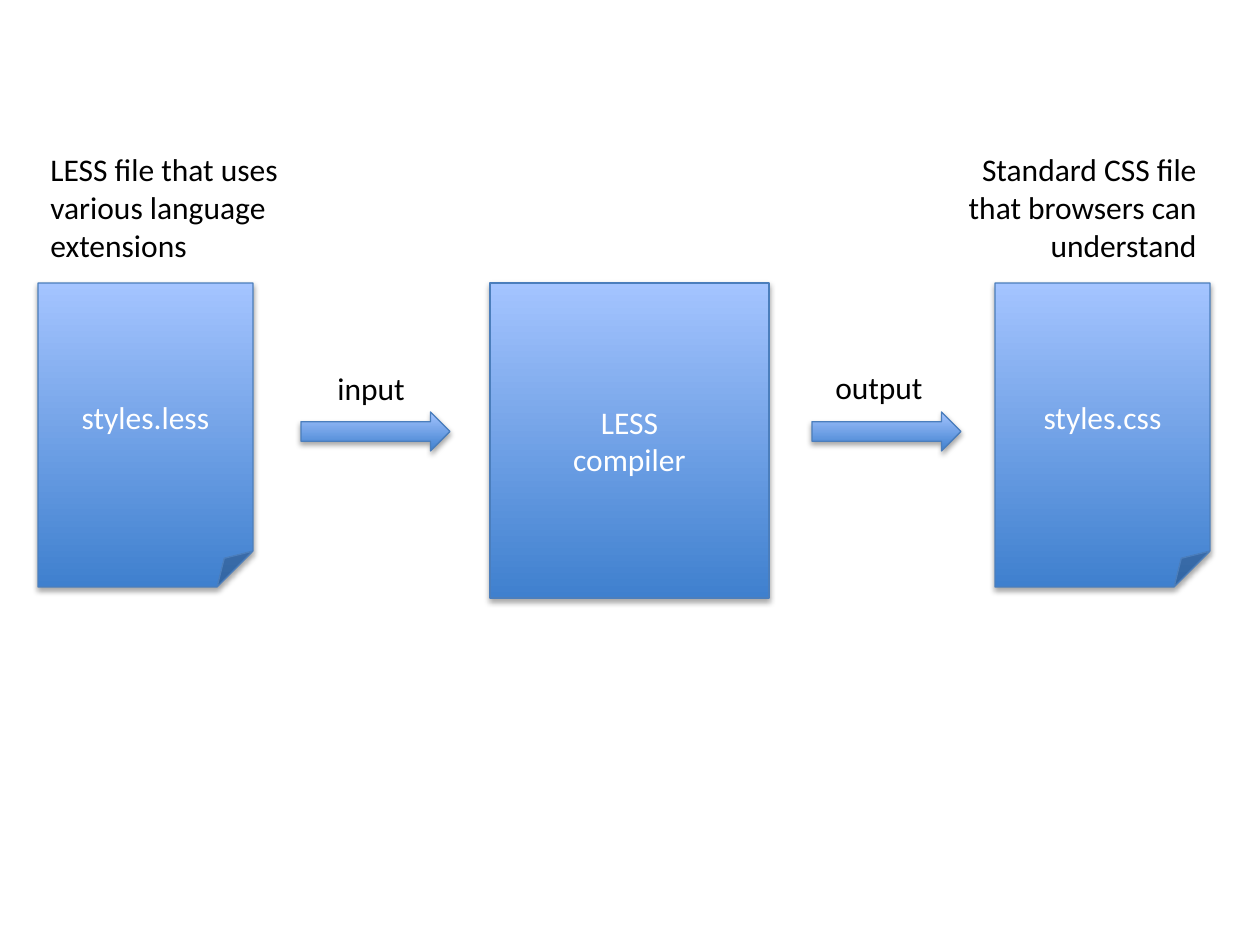
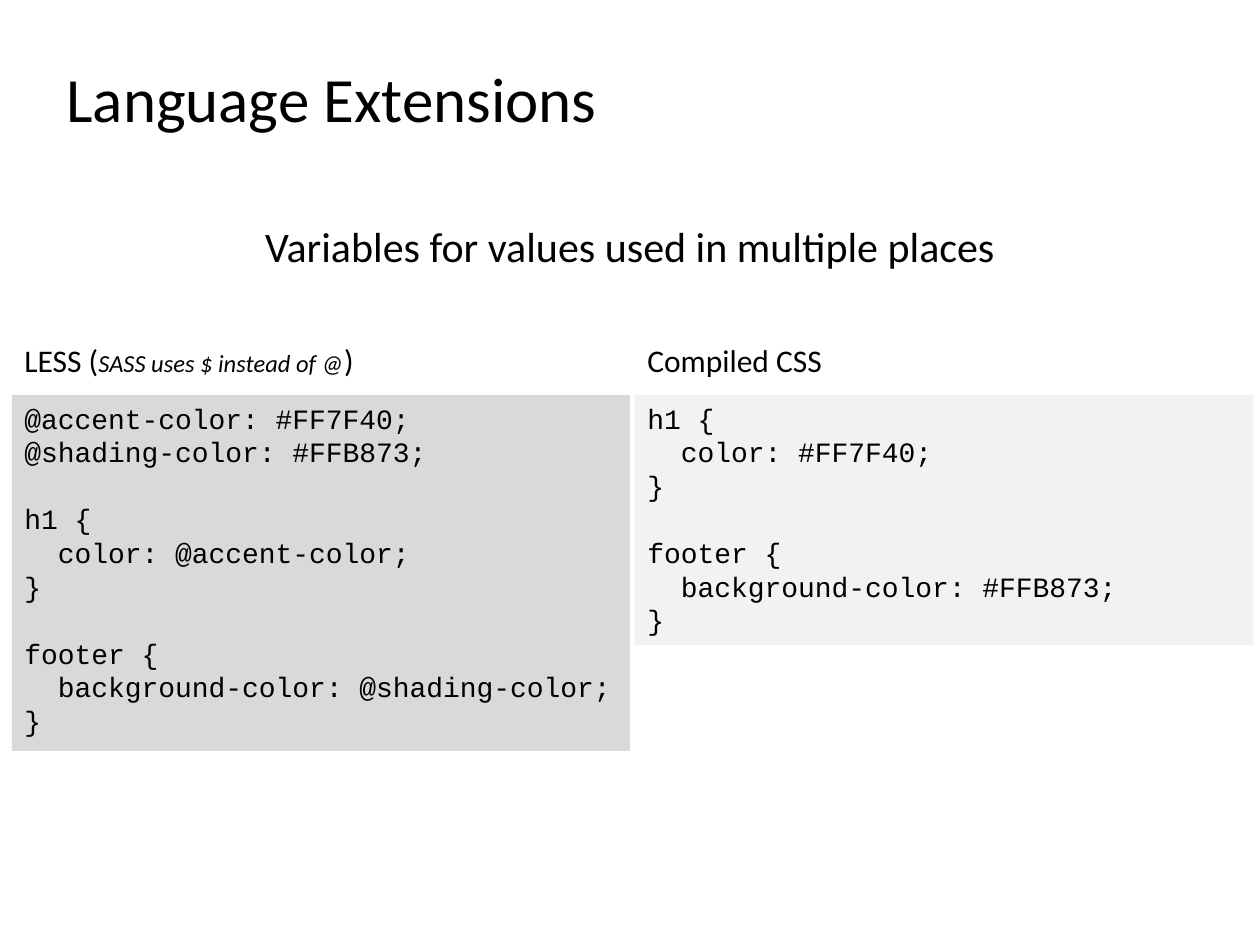
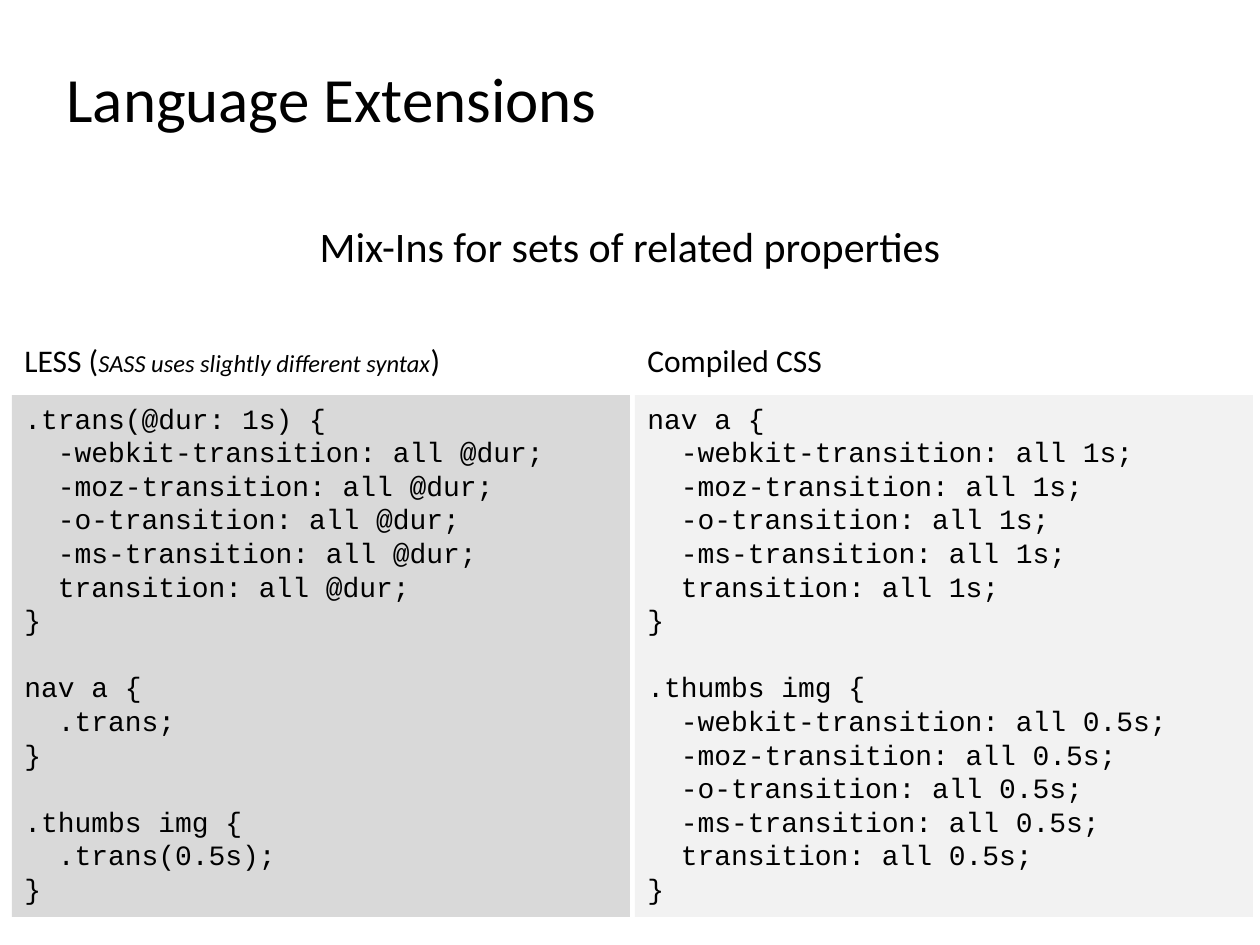
from lxml import etree
from pptx import Presentation
from pptx.dml.color import RGBColor
from pptx.enum.shapes import MSO_SHAPE
from pptx.enum.text import MSO_ANCHOR, PP_ALIGN
from pptx.oxml import parse_xml
from pptx.util import Emu, Pt

FOLDED, RECT, ARROW = MSO_SHAPE.FOLDED_CORNER, MSO_SHAPE.RECTANGLE, MSO_SHAPE.RIGHT_ARROW
LEFT, CENTER, RIGHT = PP_ALIGN.LEFT, PP_ALIGN.CENTER, PP_ALIGN.RIGHT
MIDDLE = MSO_ANCHOR.MIDDLE

BLACK = RGBColor(0x00, 0x00, 0x00)
WHITE = RGBColor(0xFF, 0xFF, 0xFF)
BLUE_DARK = RGBColor(0x3F, 0x80, 0xCE)
BLUE_LIGHT = RGBColor(0xA4, 0xC4, 0xFF)
BLUE_LINE = RGBColor(0x4B, 0x7E, 0xBC)
GREY_SOURCE = RGBColor(0xD9, 0xD9, 0xD9)
GREY_OUTPUT = RGBColor(0xF2, 0xF2, 0xF2)

BODY_FONT, CODE_FONT = "Calibri", "Courier New"
CODE_LINE = 19.2  # height of one code line in points
PX = 914400 // 126
SHADOW = (
    '<a:effectLst xmlns:a="http://schemas.openxmlformats.org/drawingml/2006/main">'
    '<a:outerShdw blurRad="40000" dist="23000" dir="5400000" rotWithShape="0">'
    '<a:srgbClr val="000000"><a:alpha val="35000"/></a:srgbClr>'
    '</a:outerShdw></a:effectLst>'
)

prs = Presentation()
prs.slide_width, prs.slide_height = Emu(1260 * PX), Emu(945 * PX)
blank = prs.slide_layouts[6]


def add_text(s, x, y, w, h, text, size=18, align=LEFT, wrap=False):
    """Add a text box; a list of texts alternates upright and small italic runs."""
    sp = s.shapes.add_textbox(x * PX, y * PX, w * PX, h * PX)
    sp.text_frame.word_wrap = wrap
    p = sp.text_frame.paragraphs[0]
    p.alignment = align
    p.font.name, p.font.size, p.font.color.rgb = BODY_FONT, Pt(size), BLACK
    for i, part in enumerate([text] if isinstance(text, str) else text):
        r = p.add_run()
        r.text = part
        if i % 2:
            r.font.size, r.font.italic = Pt(14), True


# Slide 1: from the LESS file through the compiler to the CSS file
s = prs.slides.add_slide(blank)
for kind, x, y, w, h, lines in [
    (FOLDED, 38, 283, 215, 304, ["styles.less"]),
    (RECT, 490, 283, 279, 315, ["LESS", "compiler"]),
    (FOLDED, 995, 283, 215, 304, ["styles.css"]),
    (ARROW, 301, 412, 149, 39, []),
    (ARROW, 812, 412, 149, 39, []),
]:
    sp = s.shapes.add_shape(kind, x * PX, y * PX, w * PX, h * PX)
    sp.fill.gradient()
    sp.fill.gradient_angle = 90
    for stop, color in zip(sp.fill.gradient_stops, (BLUE_DARK, BLUE_LIGHT)):
        stop.color.rgb = color
    sp.line.color.rgb, sp.line.width = BLUE_LINE, Pt(0.75)
    sp._element.spPr.append(parse_xml(SHADOW))
    tf = sp.text_frame
    tf.vertical_anchor = MIDDLE
    for i, line in enumerate(lines):
        p = tf.add_paragraph() if i else tf.paragraphs[0]
        p.text, p.alignment = line, CENTER
        p.font.name, p.font.size, p.font.color.rgb = BODY_FONT, Pt(18), WHITE

add_text(s, 325, 363, 95, 50, "input")
add_text(s, 823, 362, 113, 50, "output")
add_text(s, 38, 144, 287, 127, "LESS file that uses various language extensions", wrap=True)
add_text(s, 922, 144, 287, 127, "Standard CSS file that browsers can understand",
         align=RIGHT, wrap=True)

# Slides 2 and 3: LESS source on the left, compiled CSS on the right
VARIABLES_LESS = """@accent-color: #FF7F40;
@shading-color: #FFB873;

h1 {
  color: @accent-color;
}

footer {
  background-color: @shading-color;
}"""
VARIABLES_CSS = """h1 {
  color: #FF7F40;
}

footer {
  background-color: #FFB873;
}"""
MIXIN_LESS = """.trans(@dur: 1s) {
  -webkit-transition: all @dur;
  -moz-transition: all @dur;
  -o-transition: all @dur;
  -ms-transition: all @dur;
  transition: all @dur;
}

nav a {
  .trans;
}

.thumbs img {
  .trans(0.5s);
}"""
PREFIXES = ["-webkit-", "-moz-", "-o-", "-ms-", ""]
MIXIN_CSS = "\n\n".join(
    "\n".join([f"{selector} {{"]
              + [f"  {prefix}transition: all {duration};" for prefix in PREFIXES] + ["}"])
    for selector, duration in [("nav a", "1s"), (".thumbs img", "0.5s")]
)

for topic, remark, remark_w, less, less_h, css, css_h in [
    ("Variables for values used in multiple places", "SASS uses $ instead of @", 358,
     VARIABLES_LESS, 356, VARIABLES_CSS, 250),
    ("Mix-Ins for sets of related properties", "SASS uses slightly different syntax", 449,
     MIXIN_LESS, 522, MIXIN_CSS, 522),
]:
    s = prs.slides.add_slide(blank)
    add_text(s, 54, 53, 562, 89, "Language Extensions", size=36)
    add_text(s, 242, 214, 776, 63, topic, size=24, align=CENTER, wrap=True)

    for x, heading, heading_w, code, h, fill in [
        (12, ["LESS (", remark, ")"], remark_w, less, less_h, GREY_SOURCE),
        (635, "Compiled CSS", 202, css, css_h, GREY_OUTPUT),
    ]:
        # Code panel: a gap above each rule after the first
        sp = s.shapes.add_shape(RECT, x * PX, 395 * PX, 618 * PX, h * PX)
        sp.shadow.inherit = False
        sp.fill.solid()
        sp.fill.fore_color.rgb = fill
        sp.line.fill.background()
        tf = sp.text_frame
        tf.word_wrap, tf.vertical_anchor = True, MSO_ANCHOR.TOP
        for b, block in enumerate(code.split("\n\n")):
            for i, line in enumerate(block.split("\n")):
                p = tf.add_paragraph() if b or i else tf.paragraphs[0]
                p.text, p.alignment = line, LEFT
                p.line_spacing = Pt(CODE_LINE)
                p.font.name, p.font.size, p.font.color.rgb = CODE_FONT, Pt(16), BLACK
                if b and not i:
                    p.space_before = Pt(CODE_LINE)
        add_text(s, x, 335, heading_w, 50, heading)

prs.save("out.pptx")
